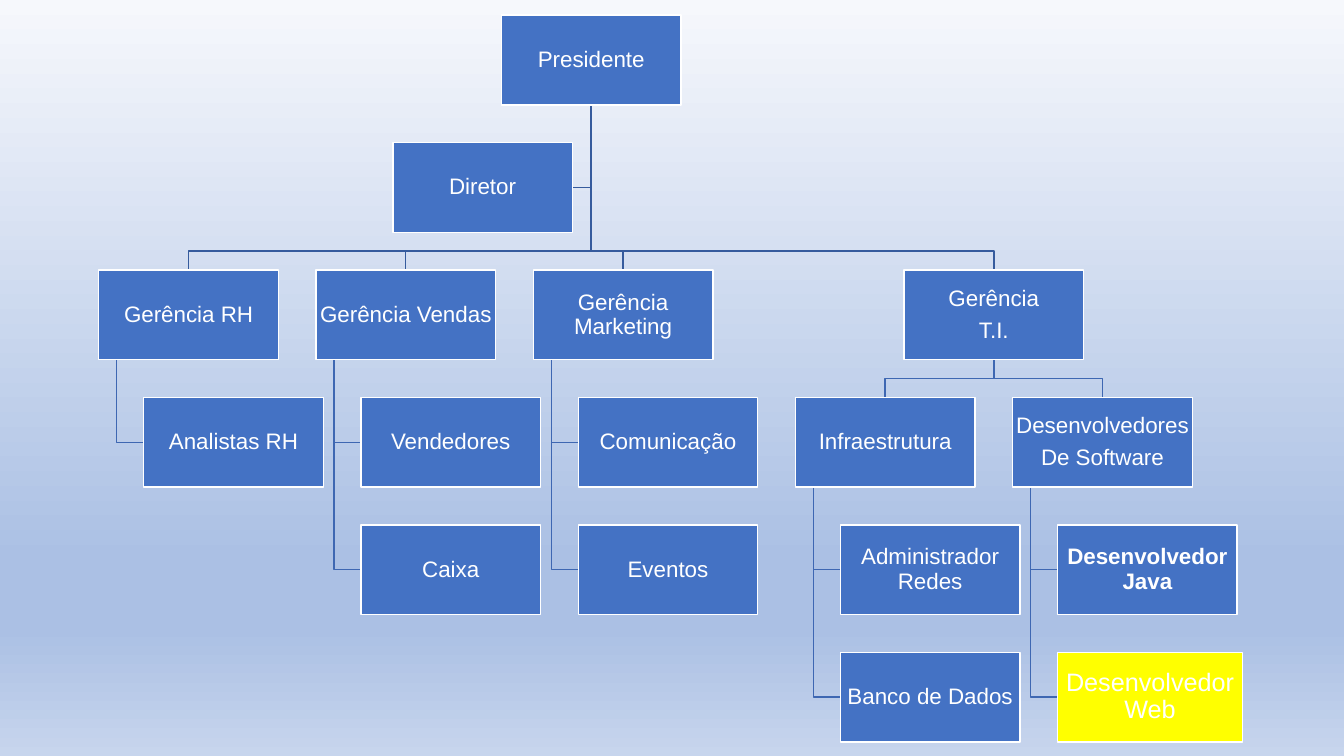
from copy import deepcopy
from dataclasses import dataclass

from pptx import Presentation
from pptx.dml.color import RGBColor
from pptx.enum.shapes import MSO_SHAPE
from pptx.enum.text import MSO_ANCHOR, PP_ALIGN
from pptx.oxml.ns import qn
from pptx.util import Inches, Pt

RECTANGLE = MSO_SHAPE.RECTANGLE
MIDDLE = MSO_ANCHOR.MIDDLE
CENTER = PP_ALIGN.CENTER


@dataclass(frozen=True)
class Theme:
    """Colours, type and line sizes of the slide."""
    font: str = "Arial"
    text: str = "FFFFFF"
    card: str = "4472C4"
    highlight: str = "FFFF00"
    top_link: str = "365B9D"
    team_link: str = "3E67B2"
    size: int = 16
    large_size: int = 18
    line: int = 1
    leading: float = 0.9
    space_after: float = 5.6
    inset: float = 0.01
    backdrop: tuple = ((0, "F6F8FC"), (0.74, "ABC0E4"), (0.83, "ABC0E4"), (1, "C7D5ED"))


@dataclass(frozen=True)
class Box:
    """A rectangle in EMU."""
    left: float
    top: float
    width: float
    height: float

    @property
    def center(self):
        """Horizontal centre."""
        return self.left + self.width / 2

    @property
    def middle(self):
        """Vertical centre."""
        return self.top + self.height / 2

    @property
    def right(self):
        """Right edge."""
        return self.left + self.width

    @property
    def bottom(self):
        """Lower edge."""
        return self.top + self.height


@dataclass(frozen=True)
class Grid:
    """Card grid whose lengths are shares of one card's width."""
    area: Box
    columns: float = 6.34
    gap_share: float = 0.21
    indent: float = 0.25
    trunk: float = 0.1

    @property
    def unit(self):
        """Width of one card."""
        return self.area.width / self.columns

    @property
    def gap(self):
        """Space between neighbouring cards."""
        return self.gap_share * self.unit

    def card(self, column, row, indent=0):
        """Return the box of a card at a column and row."""
        left = self.area.left + column * (self.unit + self.gap) + indent * self.unit
        top = self.area.top + row * (self.unit / 2 + self.gap)
        return Box(left, top, self.unit, self.unit / 2)

    def below(self, card, steps):
        """Return the indented box a number of rows below a card."""
        top = card.top + steps * (card.height + self.gap)
        return Box(card.left + self.indent * self.unit, top, card.width, card.height)


THEME = Theme()
STAFF = [
    ("Gerência RH", ["Analistas RH"]),
    ("Gerência Vendas", ["Vendedores", "Caixa"]),
    ("Gerência Marketing", ["Comunicação", "Eventos"]),
]
TECHNOLOGY = [
    ("Infraestrutura", ["Administrador Redes", "Banco de Dados"]),
    ("Desenvolvedores\nDe Software", ["Desenvolvedor Java", "Desenvolvedor Web"]),
]
EMPHASIS = {
    "Desenvolvedor Java": {"bold": True},
    "Desenvolvedor Web": {"fill": THEME.highlight, "size": THEME.large_size, "stretch": 1.03},
}


def paint_backdrop(page):
    """Fill the page with a vertical gradient."""
    fill = page.background.fill
    fill.gradient()
    fill.gradient_angle = 270
    stop_list = page._element.find(".//" + qn("a:gsLst"))
    for _ in range(len(THEME.backdrop) - len(stop_list)):
        stop_list.append(deepcopy(stop_list[0]))
    for stop, (position, color) in zip(fill.gradient_stops, THEME.backdrop):
        stop.position = position
        stop.color.rgb = RGBColor.from_string(color)


def draw_link(page, points, color):
    """Draw an open line through the points."""
    corners = [(round(x), round(y)) for x, y in points]
    builder = page.shapes.build_freeform(*corners[0])
    builder.add_line_segments(corners[1:], close=False)
    link = builder.convert_to_shape()
    link.shadow.inherit = False
    link.fill.background()
    link.line.color.rgb = RGBColor.from_string(color)
    link.line.width = Pt(THEME.line)


def draw_card(page, box, text, fill=THEME.card, size=THEME.size, bold=False, stretch=1):
    """Draw one position with its title."""
    card = page.shapes.add_shape(
        RECTANGLE, round(box.left), round(box.top), round(box.width * stretch), round(box.height))
    card.shadow.inherit = False
    card.fill.solid()
    card.fill.fore_color.rgb = RGBColor.from_string(fill)
    card.line.color.rgb = RGBColor.from_string(THEME.text)
    card.line.width = Pt(THEME.line)
    frame = card.text_frame
    frame.text = text
    frame.word_wrap = True
    frame.vertical_anchor = MIDDLE
    frame.margin_left = frame.margin_right = Inches(THEME.inset)
    frame.margin_top = frame.margin_bottom = Inches(THEME.inset)
    for para in frame.paragraphs:
        para.alignment = CENTER
        para.line_spacing = THEME.leading
        para.space_after = Pt(THEME.space_after)
        for span in para.runs:
            span.font.name = THEME.font
            span.font.size = Pt(size)
            span.font.bold = bold
            span.font.color.rgb = RGBColor.from_string(THEME.text)


def draw_branches(page, grid, parent, children, color):
    """Link a card to the tops of the cards under it."""
    for child in children:
        bend = child.top - grid.gap / 2
        draw_link(page, [(parent.center, parent.bottom), (parent.center, bend),
                         (child.center, bend), (child.center, child.top)], color)


def draw_team(page, grid, head, title, members):
    """Draw a head card with its members hanging below."""
    trunk = head.left + grid.trunk * grid.unit
    for step, member in enumerate(members, 1):
        box = grid.below(head, step)
        draw_link(page, [(trunk, head.bottom), (trunk, box.middle), (box.left, box.middle)],
                  THEME.team_link)
        draw_card(page, box, member, **EMPHASIS.get(member, {}))
    draw_card(page, head, title)


def draw_technology(page, grid, head, leads):
    """Draw the technology department and its two teams."""
    draw_branches(page, grid, head, leads, THEME.team_link)
    for lead, (title, members) in zip(leads, TECHNOLOGY):
        draw_team(page, grid, lead, title, members)
    draw_card(page, head, "Gerência\nT.I.")


def draw_organization(page, area):
    """Draw the whole organization chart inside the area."""
    grid = Grid(area)
    managers = [grid.card(column, 2) for column in range(len(STAFF))]
    leads = [grid.card(len(STAFF) + place, 3, grid.indent) for place in range(len(TECHNOLOGY))]
    technology = grid.card(len(STAFF) + 0.5, 2, grid.indent)
    middle = (managers[0].left + technology.left) / 2
    president = Box(middle, area.top, grid.unit, grid.unit / 2)
    director_left = president.center - grid.gap / 2 - grid.unit
    director = Box(director_left, grid.card(0, 1).top, grid.unit, grid.unit / 2)

    draw_branches(page, grid, president, managers + [technology], THEME.top_link)
    draw_link(page, [(president.center, president.bottom), (president.center, director.middle),
                     (director.right, director.middle)], THEME.top_link)
    for manager, (title, members) in zip(managers, STAFF):
        draw_team(page, grid, manager, title, members)
    draw_technology(page, grid, technology, leads)
    draw_card(page, president, "Presidente")
    draw_card(page, director, "Diretor")


def main():
    """Build and save the deck."""
    deck = Presentation()
    deck.slide_width, deck.slide_height = Inches(13.33), Inches(7.5)
    page = deck.slides.add_slide(deck.slide_layouts[6])
    paint_backdrop(page)
    draw_organization(page, Box(Inches(0.98), Inches(0.15), Inches(11.29), Inches(7.22)))
    deck.save("out.pptx")


main()
